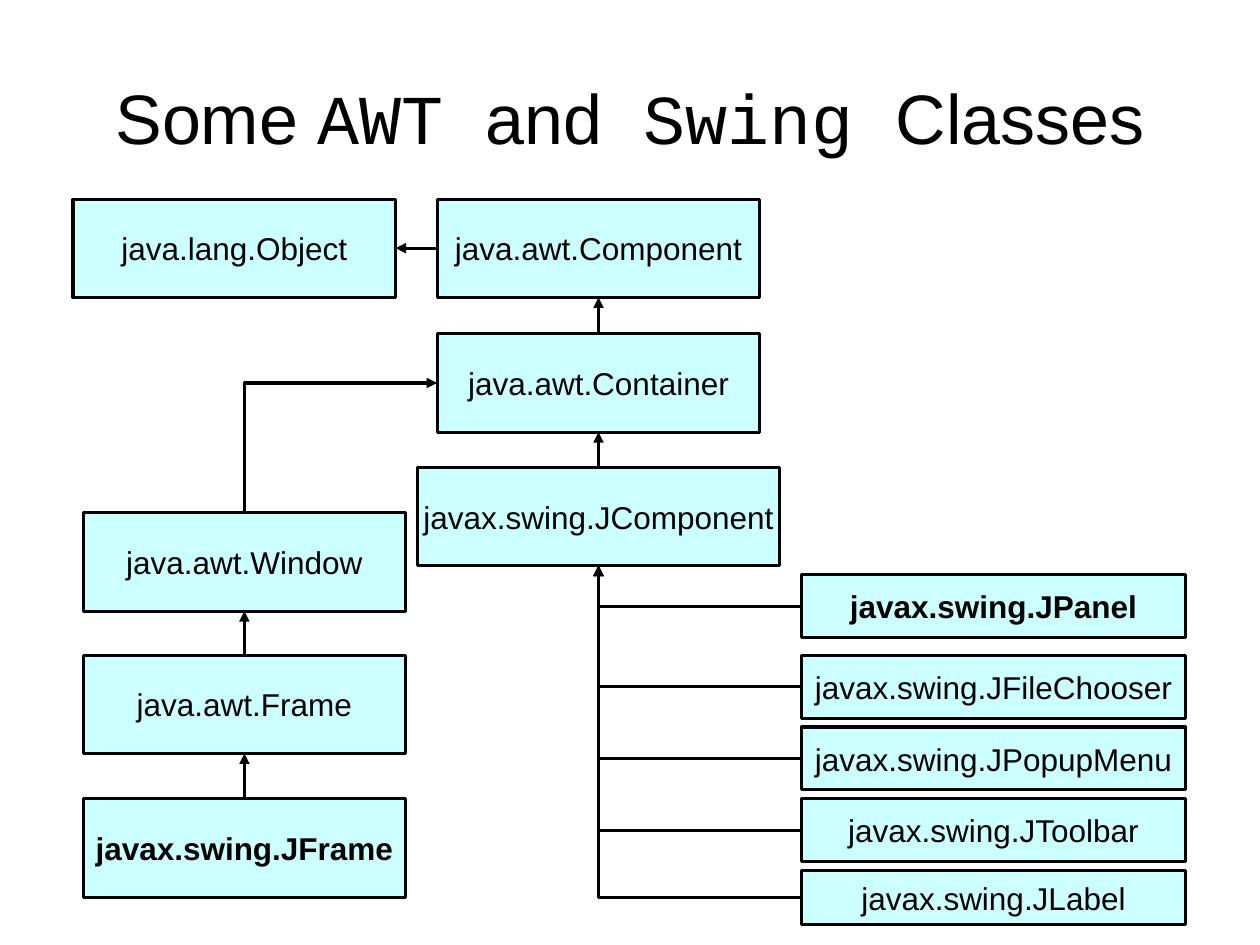
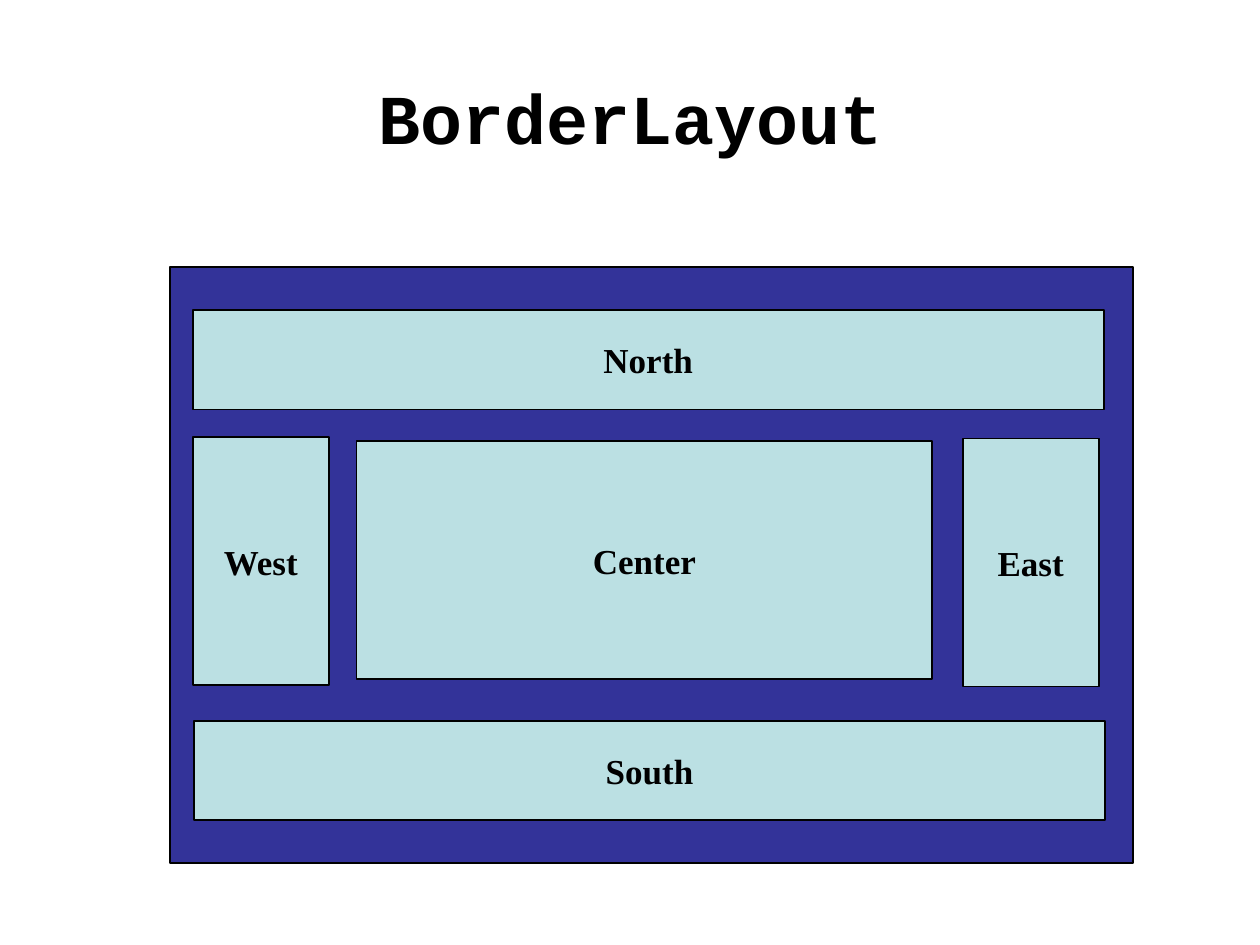
from dataclasses import dataclass

from lxml import etree
from pptx import Presentation
from pptx.dml.color import RGBColor
from pptx.enum import shapes, text
from pptx.oxml import ns
from pptx.util import Inches, Pt


@dataclass(frozen=True)
class Theme:
    ink: RGBColor = RGBColor(0x00, 0x00, 0x00)
    class_fill: RGBColor = RGBColor(0xCC, 0xFF, 0xFF)
    window_fill: RGBColor = RGBColor(0x33, 0x33, 0x99)
    region_fill: RGBColor = RGBColor(0xBB, 0xE0, 0xE3)
    sans: str = "Arial"
    mono: str = "Courier New"
    serif: str = "Times New Roman"
    title_size: float = 40
    class_size: float = 18
    region_size: float = 20
    class_line: float = 1.75
    region_line: float = 1


THEME = Theme()
TOP, LEFT, BOTTOM, RIGHT = range(4)


@dataclass(frozen=True)
class BoxStyle:
    fill: RGBColor
    line: float
    font: str
    size: float


CLASS_STYLE = BoxStyle(THEME.class_fill, THEME.class_line, THEME.sans, THEME.class_size)
REGION_STYLE = BoxStyle(THEME.region_fill, THEME.region_line, THEME.serif, THEME.region_size)
WINDOW_STYLE = BoxStyle(THEME.window_fill, THEME.region_line, THEME.serif, THEME.region_size)


@dataclass(frozen=True)
class Box:
    label: str
    left: float
    top: float
    width: float
    height: float
    bold: bool = False

    @property
    def center_x(self) -> float:
        return self.left + self.width / 2

    @property
    def center_y(self) -> float:
        return self.top + self.height / 2


@dataclass(frozen=True)
class TitleRun:
    words: str
    font: str


# Shared drawing functions
def style_font(font, name: str | None, size: float, bold: bool) -> None:
    if name:
        font.name = name
    font.size = Pt(size)
    font.bold = bold
    font.color.rgb = THEME.ink


def add_title(slide, runs: list[TitleRun], bold: bool = False) -> None:
    shape = slide.shapes.add_textbox(Inches(0.5), Inches(0.3), Inches(9), Inches(1.25))
    frame = shape.text_frame
    frame.word_wrap = True
    frame.vertical_anchor = text.MSO_ANCHOR.MIDDLE
    paragraph = frame.paragraphs[0]
    paragraph.alignment = text.PP_ALIGN.CENTER
    fonts = {title_run.font for title_run in runs}
    shared_font = runs[0].font if len(fonts) == 1 else None
    style_font(paragraph.font, shared_font, THEME.title_size, bold)
    for title_run in runs:
        run = paragraph.add_run()
        run.text = title_run.words
        if not shared_font:
            run.font.name = title_run.font


def add_box(slide, box: Box, style: BoxStyle):
    shape = slide.shapes.add_shape(
        shapes.MSO_SHAPE.RECTANGLE,
        Inches(box.left), Inches(box.top), Inches(box.width), Inches(box.height))
    shape.shadow.inherit = False
    shape.fill.solid()
    shape.fill.fore_color.rgb = style.fill
    shape.line.color.rgb = THEME.ink
    shape.line.width = Pt(style.line)
    if box.label:
        frame = shape.text_frame
        frame.word_wrap = False
        frame.vertical_anchor = text.MSO_ANCHOR.MIDDLE
        paragraph = frame.paragraphs[0]
        paragraph.text = box.label
        paragraph.alignment = text.PP_ALIGN.CENTER
        style_font(paragraph.font, style.font, style.size, box.bold)
    return shape


def add_line(slide, kind, begin: tuple[float, float], end: tuple[float, float],
             arrow: str = "tailEnd"):
    """Draw a line; arrow is headEnd (at begin) or tailEnd (at end)."""
    connector = slide.shapes.add_connector(kind, *map(Inches, begin + end))
    connector.line.color.rgb = THEME.ink
    connector.line.width = Pt(THEME.class_line)
    properties = connector._element.spPr
    etree.SubElement(properties.find(ns.qn("a:ln")), ns.qn(f"a:{arrow}"), type="triangle")
    etree.SubElement(properties, ns.qn("a:effectLst"))
    return connector


def add_inheritance(slide, child, child_side: int, parent, parent_side: int) -> None:
    connector = add_line(slide, shapes.MSO_CONNECTOR.STRAIGHT, (0, 0), (0, 0))
    connector.begin_connect(child, child_side)
    connector.end_connect(parent, parent_side)


def add_elbow(slide, begin: tuple[float, float], end: tuple[float, float], arrow: str) -> None:
    """Run sideways from begin, then turn once towards end."""
    connector = add_line(slide, shapes.MSO_CONNECTOR.ELBOW, begin, end, arrow)
    connector._element.spPr.find(ns.qn("a:prstGeom")).set("prst", "bentConnector2")


# Slide 1: class hierarchy
def build_hierarchy(slide) -> None:
    add_title(slide, [
        TitleRun("Some ", THEME.sans), TitleRun("AWT ", THEME.mono),
        TitleRun("and", THEME.sans), TitleRun(" Swing ", THEME.mono),
        TitleRun("Classes", THEME.sans)])

    width, height = 2.56, 0.78
    root = Box("java.lang.Object", 0.58, 1.58, width, height)
    component = Box("java.awt.Component", 3.47, 1.58, width, height)
    container = Box("java.awt.Container", 3.47, 2.65, width, height)
    swing_base = Box("javax.swing.JComponent", 3.31, 3.71, 2.88, height)
    window = Box("java.awt.Window", 0.66, 4.07, width, height)
    frame = Box("java.awt.Frame", 0.66, 5.2, width, height)
    swing_frame = Box("javax.swing.JFrame", 0.66, 6.34, width, height, bold=True)

    # Straight chains, each listed from ancestor to descendant
    root_shape = add_box(slide, root, CLASS_STYLE)
    middle_chain = [add_box(slide, box, CLASS_STYLE)
                    for box in (component, container, swing_base)]
    window_chain = [add_box(slide, box, CLASS_STYLE)
                    for box in (window, frame, swing_frame)]
    add_inheritance(slide, middle_chain[0], LEFT, root_shape, RIGHT)
    for chain in (middle_chain, window_chain):
        for parent, child in zip(chain, chain[1:]):
            add_inheritance(slide, child, TOP, parent, BOTTOM)
    add_elbow(slide, (container.left, container.center_y),
              (window.center_x, window.top), "headEnd")

    # Swing widgets, all children of JComponent
    first_row, row_step = 5.2, 0.57
    names = ["JFileChooser", "JPopupMenu", "JToolbar", "JLabel"]
    widgets = [Box("javax.swing.JPanel", 6.36, 4.56, 3.05, 0.5, bold=True)]
    widgets += [
        Box(f"javax.swing.{name}", 6.36, first_row + row * row_step, 3.05,
            0.43 if name == "JLabel" else 0.5)
        for row, name in enumerate(names)]
    for widget in widgets:
        add_box(slide, widget, CLASS_STYLE)
        add_elbow(slide, (widget.left, widget.center_y),
                  (swing_base.center_x, swing_base.top + swing_base.height), "tailEnd")


# Slide 2: regions of a border layout
def build_border_layout(slide) -> None:
    add_title(slide, [TitleRun("BorderLayout", THEME.mono)], bold=True)
    add_box(slide, Box("", 1.35, 2.12, 7.64, 4.73), WINDOW_STYLE)
    regions = [
        Box("North", 1.53, 2.46, 7.23, 0.79, bold=True),
        Box("South", 1.54, 5.72, 7.23, 0.79, bold=True),
        Box("West", 1.53, 3.47, 1.08, 1.97, bold=True),
        Box("East", 7.64, 3.48, 1.08, 1.97, bold=True),
        Box("Center", 2.83, 3.5, 4.57, 1.89, bold=True),
    ]
    for region in regions:
        add_box(slide, region, REGION_STYLE)


def main() -> None:
    presentation = Presentation()
    presentation.slide_width = Inches(10)
    presentation.slide_height = Inches(7.5)
    blank_layout = presentation.slide_layouts[6]
    for build in (build_hierarchy, build_border_layout):
        build(presentation.slides.add_slide(blank_layout))
    presentation.save("out.pptx")


if __name__ == "__main__":
    main()
